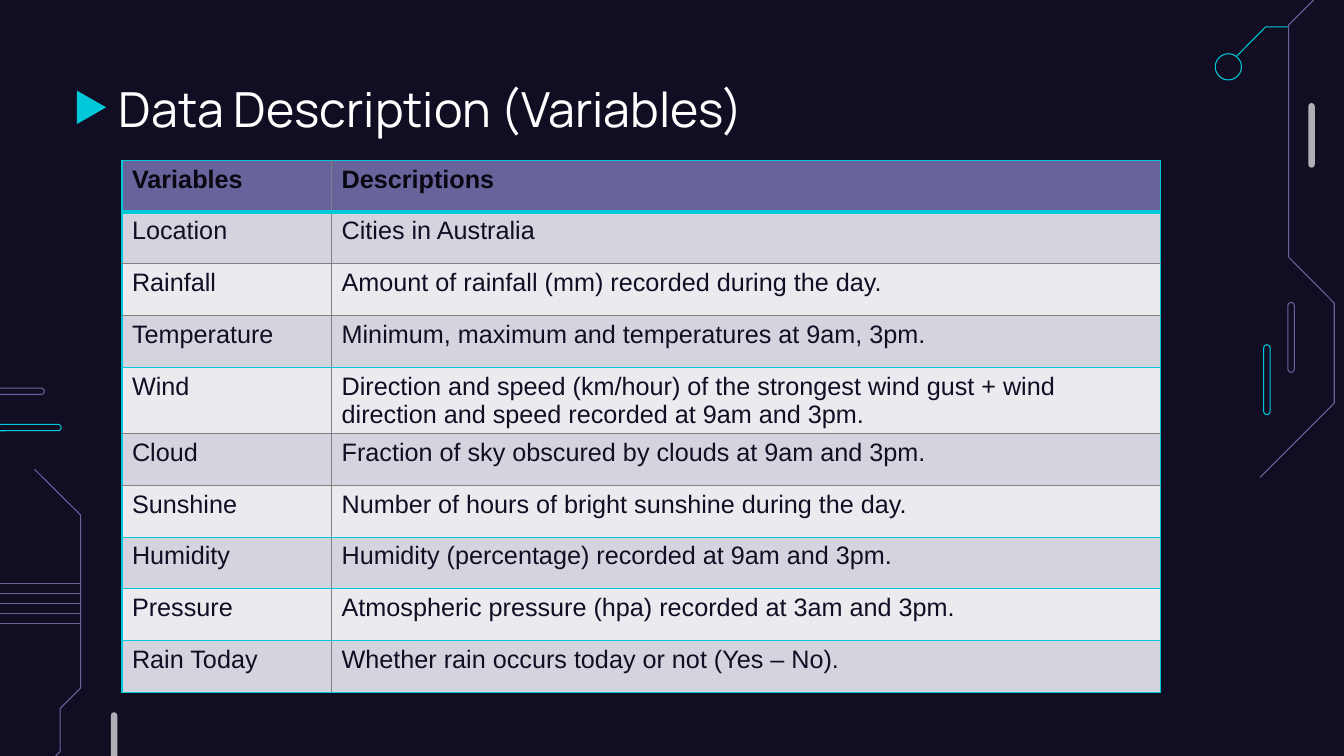
from lxml import etree
from pptx import Presentation, util as u
from pptx.dml.color import RGBColor
from pptx.enum import shapes, text
from pptx.oxml.ns import qn

COLUMNS, ROWS = 40, 22.5
CELL = u.Inches(1) / 3
NIGHT, CYAN, PURPLE, SILVER = "110E24", "00CADA", "69639C", "AFAFB6"
WHITE, HEADER_INK, GRAY = "FFFFFF", "080712", "808080"
BANDS = "D4D3DE", "EBEAEF"
GRAY_RULES = {1, 2, 4, 5}

VARIABLES = [
    ("Variables", "Descriptions"),
    ("Location", "Cities in Australia"),
    ("Rainfall", "Amount of rainfall (mm) recorded during the day."),
    ("Temperature", "Minimum, maximum and temperatures at 9am, 3pm."),
    ("Wind", "Direction and speed (km/hour) of the strongest wind gust + wind "
             "direction and speed recorded at 9am and 3pm."),
    ("Cloud", "Fraction of sky obscured by clouds at 9am and 3pm."),
    ("Sunshine", "Number of hours of bright sunshine during the day."),
    ("Humidity", "Humidity (percentage) recorded at 9am and 3pm."),
    ("Pressure", "Atmospheric pressure (hpa) recorded at 3am and 3pm."),
    ("Rain Today", "Whether rain occurs today or not (Yes – No)."),
]


def grid(*cells):
    """Turn grid columns or rows into EMU."""
    return [u.Emu(round(cell * CELL)) for cell in cells]


def color(hex_code):
    return RGBColor.from_string(hex_code)


class CircuitSlide:
    """The slide being built, with the look of its circuit-board theme."""

    def __init__(self, deck):
        self.slide = deck.slides.add_slide(deck.slide_layouts[5])
        self.shapes = self.slide.shapes
        self.background(NIGHT)

    def background(self, hex_code):
        fill = self.slide.background.fill
        fill.solid()
        fill.fore_color.rgb = color(hex_code)

    def paint(self, shape, fill=None, line=None):
        shape.shadow.inherit = False
        if fill:
            shape.fill.solid()
            shape.fill.fore_color.rgb = color(fill)
        else:
            shape.fill.background()
        if line:
            shape.line.color.rgb = color(line)
            shape.line.width = u.Pt(0.75)
        else:
            shape.line.fill.background()

    def preset(self, kind, box, fill=None, line=None, rotation=0):
        shape = self.shapes.add_shape(kind, *grid(*box))
        shape.rotation = rotation
        self.paint(shape, fill, line)
        return shape

    def pill(self, box, fill=None, line=None):
        shape = self.preset(shapes.MSO_SHAPE.ROUNDED_RECTANGLE, box, fill, line)
        shape.adjustments[0] = 0.5

    def trace(self, points, line):
        """Draw an open circuit path through the grid points."""
        start, *rest = [grid(*point) for point in points]
        builder = self.shapes.build_freeform(*start, scale=1.0)
        builder.add_line_segments(rest, close=False)
        self.paint(builder.convert_to_shape(), line=line)

    def wire(self, start, end, line):
        wire = self.shapes.add_connector(
            shapes.MSO_CONNECTOR.STRAIGHT, *grid(*start, *end))
        wire.line.color.rgb = color(line)
        wire.line.width = u.Pt(0.75)
        etree.SubElement(wire._element.spPr, qn("a:effectLst"))

    def add_words(self, frame, words, size, font, ink, bold=False):
        paragraph = frame.paragraphs[0]
        paragraph.alignment = text.PP_ALIGN.LEFT
        run = paragraph.add_run()
        run.text = words
        run.font.size = u.Pt(size)
        run.font.name = font
        run.font.bold = bold
        run.font.color.rgb = color(ink)

    def title(self, words, box):
        heading = self.shapes.title
        heading.left, heading.top, heading.width, heading.height = grid(*box)
        frame = heading.text_frame
        frame.word_wrap = True
        frame.auto_size = text.MSO_AUTO_SIZE.NONE
        frame.vertical_anchor = text.MSO_ANCHOR.MIDDLE
        frame.margin_left = frame.margin_right = u.Inches(0.13)
        frame.margin_top = frame.margin_bottom = u.Inches(0.13)
        self.add_words(frame, words, 34.5, "Manrope", WHITE)

    def borders(self, cell, sides):
        """Set (colour, points) borders in the order left, right, top, bottom."""
        properties = cell._tc.get_or_add_tcPr()
        for index, (side, (hex_code, points)) in enumerate(zip("LRTB", sides)):
            edge = etree.Element(qn(f"a:ln{side}"), w=str(u.Pt(points)))
            fill = etree.SubElement(edge, qn("a:solidFill"))
            etree.SubElement(fill, qn("a:srgbClr"), val=hex_code)
            properties.insert(index, edge)

    def table(self, records, corner, widths, row_height):
        size = sum(widths), row_height * len(records)
        table = self.shapes.add_table(
            len(records), len(widths), *grid(*corner, *size)).table
        for column, width in zip(table.columns, grid(*widths)):
            column.width = width
        rules = [(CYAN, 1), (CYAN, 3)] + [
            (GRAY if row in GRAY_RULES else CYAN, 1)
            for row in range(1, len(records))]
        uprights = [(CYAN, 1), (GRAY, 1), (CYAN, 1)]
        for row, record in enumerate(records):
            table.rows[row].height = grid(row_height)[0]
            header = row == 0
            for column, words in enumerate(record):
                cell = table.cell(row, column)
                cell.fill.solid()
                cell.fill.fore_color.rgb = color(
                    PURPLE if header else BANDS[(row - 1) % 2])
                self.borders(cell, uprights[column:column + 2]
                             + rules[row:row + 2])
                self.add_words(cell.text_frame, words, 18, "Arial",
                               HEADER_INK if header else NIGHT, header)


def main():
    deck = Presentation()
    deck.slide_width, deck.slide_height = grid(COLUMNS, ROWS)
    page = CircuitSlide(deck)

    long, short, thin = 2.08, 1.92, 0.19
    page.pill((-0.26, 12.63, long, thin), line=CYAN)
    page.pill((-0.76, 11.55, long, thin), line=PURPLE)
    page.pill((37.61, 10.26, thin, long), line=CYAN)
    page.pill((38.33, 9, thin, long), line=PURPLE)
    page.pill((3.3, 21.2, thin, short), fill=SILVER)
    page.pill((38.94, 3.07, thin, short), fill=SILVER)

    page.trace([(36.82, 1.66), (37.67, 0.8), (38.35, 0.8)], CYAN)
    page.preset(shapes.MSO_SHAPE.OVAL, (36.17, 1.6, 0.78, 0.78), line=CYAN)
    for wire in range(5):
        height = 17.37 + 0.3 * wire
        page.wire((0, height), (2.4, height), PURPLE)
    page.trace([(1.03, 13.97), (2.4, 15.33), (2.4, 20.48), (1.79, 21.09),
                (1.79, 22.37), (1.66, 22.5)], PURPLE)
    page.trace([(39.1, 0), (38.35, 0.75), (38.35, 7.65), (39.71, 9.02),
                (39.71, 12), (37.5, 14.21)], PURPLE)

    page.preset(shapes.MSO_SHAPE.FLOWCHART_MERGE, (2.22, 2.76, 1, 0.87),
                fill=CYAN, rotation=270)
    page.title("Data Description (Variables)", (3.15, 1.95, 33.7, 2.52))
    page.table(VARIABLES, (3.63, 4.77), (6.24, 24.66), 1.54)
    deck.save("out.pptx")


if __name__ == "__main__":
    main()
